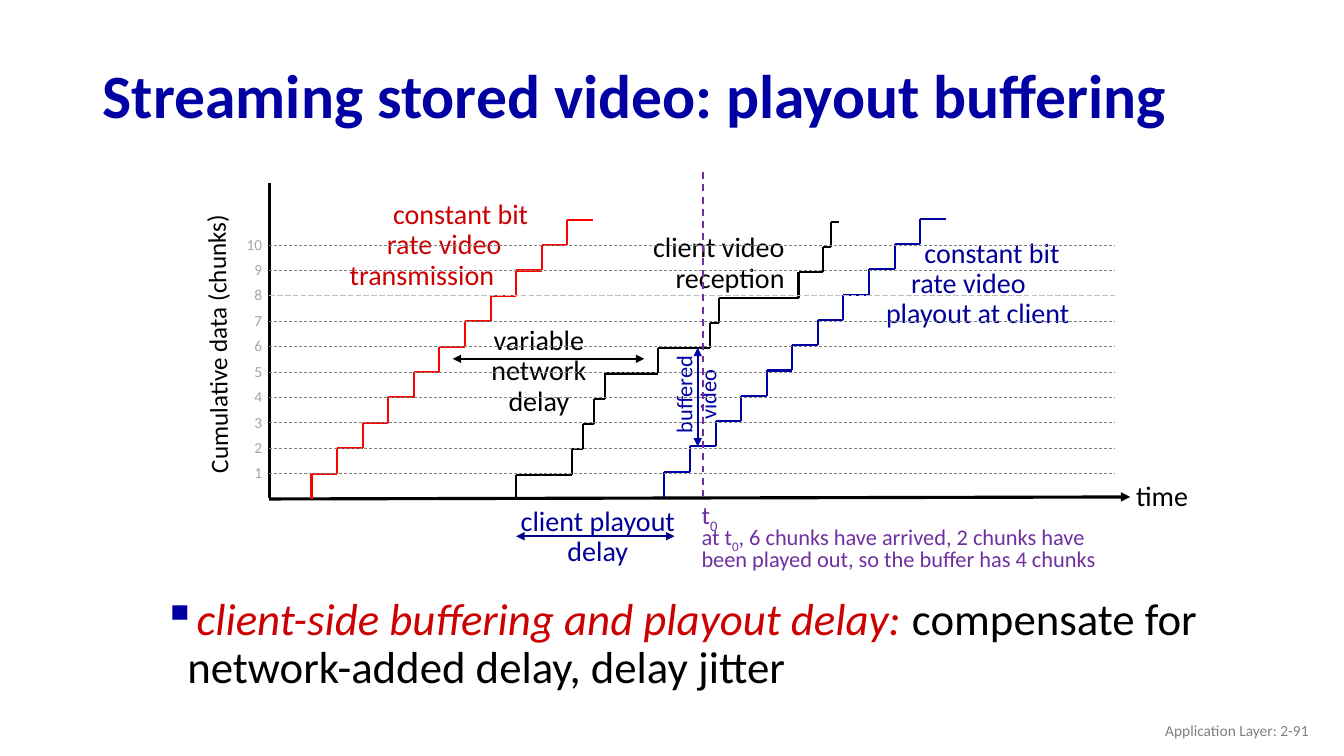
from dataclasses import dataclass

from lxml.etree import SubElement
from pptx import Presentation
from pptx.dml.color import RGBColor
from pptx.enum.dml import MSO_LINE
from pptx.enum.shapes import MSO_CONNECTOR
from pptx.enum.text import MSO_ANCHOR, MSO_AUTO_SIZE, PP_ALIGN
from pptx.oxml.ns import qn
from pptx.util import Inches, Pt


@dataclass(frozen=True)
class Theme:
    font: str = "Calibri"
    navy: str = "0000A3"
    label_blue: str = "000099"
    delay_blue: str = "010086"
    crimson: str = "CC0000"
    red: str = "FF0000"
    purple: str = "7030A0"
    black: str = "000000"
    grid: str = "808080"
    pale_grid: str = "BFBFBF"
    tick: str = "A6A6A6"
    title_size: int = 44
    body_size: int = 32
    label_size: int = 20
    axis_size: int = 18
    note_size: int = 16
    small_size: int = 11


@dataclass(frozen=True)
class Box:
    left: float
    top: float
    width: float
    height: float

    def inner(self, left, top, width, height):
        return Box(self.left + left, self.top + top, width, height)

    def point(self, x, y):
        return self.left + x, self.top + y


THEME = Theme()
LEVELS = 11
GRID_LEVELS = 10


def style_font(font, size, color):
    font.name = THEME.font
    font.size = Pt(size)
    font.color.rgb = RGBColor.from_string(color)


def add_text(slide, box, lines, size, color, align=PP_ALIGN.LEFT, wrap=True,
             spacing=0.9, rotation=0, indents=None):
    """Each line is a string, or a list of (text, is_subscript) pieces."""
    shape = slide.shapes.add_textbox(*map(Inches, (box.left, box.top, box.width, box.height)))
    shape.rotation = rotation
    frame = shape.text_frame
    frame.word_wrap = wrap
    for index, line in enumerate(lines):
        paragraph = frame.paragraphs[0] if index == 0 else frame.add_paragraph()
        paragraph.alignment = align
        paragraph.line_spacing = spacing
        if indents:
            paragraph._p.get_or_add_pPr().set("marL", str(Inches(indents[index])))
        for text, subscript in [(line, False)] if isinstance(line, str) else line:
            run = paragraph.add_run()
            run.text = text
            if subscript:
                run.font._element.set("baseline", "-25000")
        style_font(paragraph.font, size, color)
    return shape


def add_line(slide, start, end, color, width=1.5, dash=None, head=False, tail=False):
    line = slide.shapes.add_connector(
        MSO_CONNECTOR.STRAIGHT, *map(Inches, (*start, *end)))
    line.line.color.rgb = RGBColor.from_string(color)
    line.line.width = Pt(width)
    if dash:
        line.line.dash_style = dash
    outline = line.line._get_or_add_ln()
    for tag, wanted in (("a:headEnd", head), ("a:tailEnd", tail)):
        if wanted:
            SubElement(outline, qn(tag), type="triangle")
    SubElement(line._element.spPr, qn("a:effectLst"))


def add_staircase(slide, plot, times, base, top, color):
    """One riser and one tread for each chunk, from base up to top."""
    rise = (base - top) / LEVELS
    for level in range(LEVELS):
        foot = base - level * rise
        tread = foot - rise
        start, end = times[level:level + 2]
        add_line(slide, plot.point(start, tread), plot.point(start, foot), color)
        add_line(slide, plot.point(end, tread), plot.point(start, tread), color)


def even_times(start, end):
    return [start + (end - start) * step / LEVELS for step in range(LEVELS + 1)]


def add_axes(slide, plot):
    add_line(slide, plot.point(0, 0), plot.point(0, 3.12), THEME.black, 2.25)
    add_line(slide, plot.point(plot.width, 3.11), plot.point(0, plot.height),
             THEME.black, 2.25, head=True)
    add_text(slide, plot.inner(-2, 1.29, 3, 0.37), ["Cumulative data (chunks)"],
             THEME.axis_size, THEME.black, rotation=269.4)
    add_text(slide, plot.inner(8.5, 2.92, 0.73, 0.4), ["time"],
             THEME.label_size, THEME.black, wrap=False)


def add_transmission(slide, plot):
    add_text(slide, plot.inner(0.7, 0.12, 2.06, 1.01),
             ["constant bit", "rate video", "transmission"],
             THEME.label_size, THEME.crimson, indents=(0.43, 0.37, 0))
    add_staircase(slide, plot, even_times(0.42, 3.21), 3.13, 0.36, THEME.red)


def add_reception(slide, plot):
    arrivals = [2.45, 3, 3.11, 3.22, 3.33, 3.86, 4.37, 4.46, 5.25, 5.49, 5.57, 5.65]
    add_staircase(slide, plot, arrivals, 3.14, 0.38, THEME.black)
    add_text(slide, plot.inner(2.1, 1.37, 1.15, 1.01), ["variable", "network", "delay"],
             THEME.label_size, THEME.black, PP_ALIGN.CENTER, wrap=False)
    add_line(slide, plot.point(1.82, 1.74), plot.point(3.72, 1.74), THEME.black,
             head=True, tail=True)
    add_text(slide, plot.inner(3.69, 0.45, 1.52, 0.71), ["client video", "reception"],
             THEME.label_size, THEME.black, PP_ALIGN.RIGHT, wrap=False)


def add_playout(slide, plot):
    add_staircase(slide, plot, even_times(3.92, 6.71), 3.11, 0.35, THEME.navy)
    add_text(slide, plot.inner(5.96, 0.5, 2.1, 1.01),
             ["constant bit", "rate video", "playout at client"],
             THEME.label_size, THEME.label_blue, indents=(0.44, 0.31, 0.06))
    add_text(slide, plot.inner(2.34, 3.16, 1.84, 0.71), ["client playout", "delay"],
             THEME.label_size, THEME.label_blue, PP_ALIGN.CENTER)
    add_line(slide, plot.point(2.45, 3.5), plot.point(4.02, 3.5), THEME.delay_blue,
             head=True, tail=True)
    # Buffered amount between reception and playout
    add_line(slide, plot.point(4.25, 2.61), plot.point(4.25, 1.63), THEME.navy,
             head=True, tail=True)
    add_text(slide, plot.inner(3.76, 1.8, 0.98, 0.59), ["buffered", "video"],
             THEME.note_size, THEME.navy, PP_ALIGN.CENTER, wrap=False, rotation=270)


def add_grid(slide, plot):
    rise = (plot.height - 0.61) / GRID_LEVELS
    for chunk in range(1, GRID_LEVELS + 1):
        height = plot.height - chunk * rise
        pale = chunk == 8
        add_line(slide, plot.point(0, height), plot.point(8.39, height),
                 THEME.pale_grid if pale else THEME.grid, 0.5,
                 MSO_LINE.LONG_DASH if pale else MSO_LINE.DASH)
        width = 0.28 if chunk < 10 else 0.36
        add_text(slide, plot.inner(0.03 - width, height - 0.15, width, 0.29), [str(chunk)],
                 THEME.small_size, THEME.tick, PP_ALIGN.RIGHT, wrap=False, spacing=1.0)


def add_time_marker(slide, plot):
    add_line(slide, plot.point(4.3, 3.11), plot.point(4.3, -0.14), THEME.purple, 1.25,
             MSO_LINE.DASH)
    note = [("at t", False), ("0", True),
            (", 6 chunks have arrived, 2 chunks have been played out, "
             "so the buffer has 4 chunks", False)]
    add_text(slide, plot.inner(4.19, 3.35, 4.17, 0.54), [note],
             THEME.note_size, THEME.purple, spacing=0.8)
    add_text(slide, plot.inner(4.19, 3.12, 0.51, 0.35), [[("t", False), ("0", True)]],
             THEME.axis_size, THEME.purple, spacing=0.8)


def add_title(slide, box):
    title = slide.shapes.title
    title.left, title.top, title.width, title.height = map(
        Inches, (box.left, box.top, box.width, box.height))
    frame = title.text_frame
    frame.text = "Streaming stored video: playout buffering"
    frame.auto_size = MSO_AUTO_SIZE.NONE
    frame.vertical_anchor = MSO_ANCHOR.MIDDLE
    paragraph = frame.paragraphs[0]
    paragraph.alignment = PP_ALIGN.LEFT
    paragraph.line_spacing = 0.9
    style_font(paragraph.font, THEME.title_size, THEME.navy)
    paragraph.font.bold = True


def add_summary(slide, box):
    shape = add_text(slide, box, ["client-side buffering and playout delay: "],
                     THEME.body_size, THEME.black, indents=(0.39,))
    paragraph = shape.text_frame.paragraphs[0]
    lead = paragraph.runs[0]
    lead.font.italic = True
    lead.font.color.rgb = RGBColor.from_string(THEME.crimson)
    paragraph.add_run().text = "compensate for network-added delay, delay jitter"
    # Square bullet, placed ahead of the default run properties
    properties = paragraph._p.get_or_add_pPr()
    properties.set("indent", str(Inches(-0.24)))
    defaults = properties.find(qn("a:defRPr"))
    bullet_color = SubElement(properties, qn("a:buClr"))
    SubElement(bullet_color, qn("a:srgbClr"), val=THEME.navy)
    SubElement(properties, qn("a:buChar"), char="▪")
    properties.append(defaults)


def main():
    presentation = Presentation()
    presentation.slide_width, presentation.slide_height = Inches(13.33), Inches(7.5)
    slide = presentation.slides.add_slide(presentation.slide_layouts[5])
    add_title(slide, Box(0.92, 0.49, 11.5, 0.98))
    # Chart of cumulative data against time
    plot = Box(2.67, 1.82, 8.54, 3.13)
    for add_part in (add_axes, add_transmission, add_reception, add_playout,
                     add_grid, add_time_marker):
        add_part(slide, plot)
    add_summary(slide, Box(1.37, 5.87, 11.5, 0.97))
    # Footer
    footer = add_text(slide, Box(10.08, 7.05, 3, 0.4), ["Application Layer: 2-91"],
                      THEME.small_size, THEME.grid, PP_ALIGN.RIGHT, spacing=1.0)
    footer.text_frame.vertical_anchor = MSO_ANCHOR.MIDDLE
    presentation.save("out.pptx")


if __name__ == "__main__":
    main()
